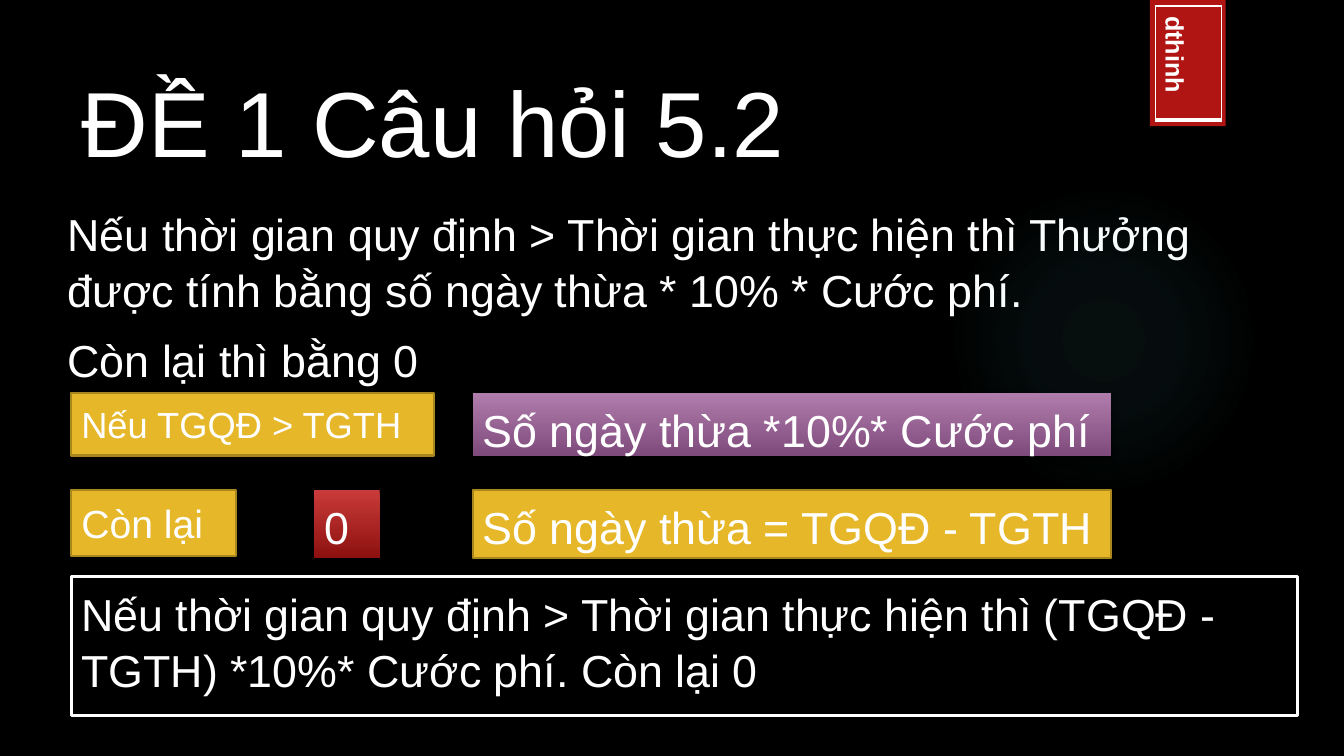
from dataclasses import dataclass
from typing import Optional

from lxml.etree import SubElement
from pptx import Presentation
from pptx.dml.color import RGBColor
from pptx.enum.shapes import MSO_SHAPE
from pptx.enum.text import MSO_ANCHOR, MSO_AUTO_SIZE, PP_ALIGN
from pptx.oxml import parse_xml
from pptx.oxml.ns import nsdecls, qn
from pptx.util import Cm, Pt

BLACK = RGBColor(0x00, 0x00, 0x00)
WHITE = RGBColor(0xFF, 0xFF, 0xFF)
RED = RGBColor(0xB0, 0x15, 0x13)
GOLD = RGBColor(0xE6, 0xB7, 0x29)
GOLD_EDGE = RGBColor(0xAA, 0x87, 0x1E)
TEAL = RGBColor(0x50, 0xB9, 0xC1)
PURPLES = (RGBColor(0xAF, 0x7C, 0xAC), RGBColor(0x7F, 0x4B, 0x7C))
REDS = (RGBColor(0xC9, 0x3B, 0x3A), RGBColor(0x8D, 0x11, 0x0F))

FRAME = {"word_wrap": True, "auto_size": MSO_AUTO_SIZE.NONE,
         "vertical_anchor": MSO_ANCHOR.TOP,
         "margin_left": Cm(0.25), "margin_right": Cm(0.25),
         "margin_top": Cm(0.18), "margin_bottom": Cm(0.13)}

LEFT, RIGHT_COL = 1.8, 11.91
ROW_1, ROW_2 = 9.91, 12.34


@dataclass
class Box:
    text: str
    left: float
    top: float
    width: float
    height: float
    size: float = 32
    fill: Optional[RGBColor] = GOLD
    gradient: Optional[tuple] = None
    edge: Optional[RGBColor] = GOLD_EDGE
    edge_width: float = 1.5


BOXES = [
    Box("Số ngày thừa *10%* Cước phí", RIGHT_COL, ROW_1, 16.1, 1.57,
        gradient=PURPLES, edge=None),
    Box("0", 7.92, ROW_2, 1.65, 1.73, gradient=REDS, edge=None),
    Box("Nếu TGQĐ > TGTH", LEFT, ROW_1, 9.14, 1.57, size=25.9),
    Box("Nếu thời gian quy định > Thời gian thực hiện thì "
        "(TGQĐ - TGTH) *10%* Cước phí. Còn lại 0",
        LEFT, 14.53, 30.89, 3.51, fill=BLACK, edge=WHITE, edge_width=2.25),
    Box("Số ngày thừa = TGQĐ - TGTH", RIGHT_COL, ROW_2, 16.1, 1.73),
    Box("Còn lại", LEFT, ROW_2, 4.14, 1.68, size=28),
]


def set_attrs(target, values: dict) -> None:
    for name, value in values.items():
        setattr(target, name, value)


def place(sp, left: float, top: float, width: float, height: float) -> None:
    set_attrs(sp, {"left": Cm(left), "top": Cm(top),
                   "width": Cm(width), "height": Cm(height)})


def write(tf, lines: list[str], size: float, spacing: float = 1.05) -> None:
    """Fill a text frame with left-aligned white paragraphs without bullets."""
    set_attrs(tf, FRAME)
    for i, line in enumerate(lines):
        p = tf.add_paragraph() if i else tf.paragraphs[0]
        pPr = p._p.get_or_add_pPr()
        pPr.set("marL", "0")
        pPr.set("indent", "0")
        SubElement(pPr, qn("a:buNone"))
        set_attrs(p, {"alignment": PP_ALIGN.LEFT, "line_spacing": spacing,
                      "space_before": Pt(10 if i else 0), "space_after": Pt(0)})
        r = p.add_run()
        r.text = line
        set_attrs(r.font, {"name": "Arial", "size": Pt(size), "bold": False})
        r.font.color.rgb = WHITE


def add_plain(s, kind, left: float, top: float, width: float, height: float):
    sp = s.shapes.add_shape(kind, Cm(left), Cm(top), Cm(width), Cm(height))
    sp.shadow.inherit = False
    sp.line.fill.background()
    return sp


def drop_shadow(sp, alpha: int, blur: float, dist: float) -> None:
    effects = sp._element.spPr.find(qn("a:effectLst"))
    effects.append(parse_xml(
        f'<a:outerShdw {nsdecls("a")} blurRad="{Pt(blur)}" dist="{Pt(dist)}" '
        f'dir="5400000" rotWithShape="0"><a:srgbClr val="{BLACK}">'
        f'<a:alpha val="{alpha * 1000}"/></a:srgbClr></a:outerShdw>'))


def add_glow(s) -> None:
    sp = add_plain(s, MSO_SHAPE.OVAL, 23.9, 4.65, 7.82, 7.82)
    stops = "".join(
        f'<a:gs pos="{pos * 1000}"><a:srgbClr val="{TEAL}">'
        f'<a:alpha val="{alpha * 1000}"/></a:srgbClr></a:gs>'
        for pos, alpha in ((0, 7), (36, 6), (69, 0)))
    sp._element.spPr.find(qn("a:prstGeom")).addnext(parse_xml(
        f'<a:gradFill {nsdecls("a")}><a:gsLst>{stops}</a:gsLst>'
        '<a:path path="circle"><a:fillToRect l="50000" t="50000" '
        'r="50000" b="50000"/></a:path></a:gradFill>'))


def add_name_tag(s) -> None:
    sp = add_plain(s, MSO_SHAPE.RECTANGLE, 28.98, 0, 1.91, 3.18)
    sp.fill.solid()
    sp.fill.fore_color.rgb = RED
    drop_shadow(sp, 45, 3, 2)

    table = s.shapes.add_table(1, 1, Cm(29.11), Cm(0.15), Cm(1.68), Cm(2.87)).table
    set_attrs(table, {"first_row": False, "horz_banding": False})
    cell = table.cell(0, 0)
    cell.fill.solid()
    cell.fill.fore_color.rgb = RED
    p = cell.text_frame.paragraphs[0]
    r = p.add_run()
    r.text = "dthinh"
    set_attrs(r.font, {"name": "Arial", "size": Pt(18), "bold": True})
    r.font.color.rgb = WHITE
    tcPr = cell._tc.get_or_add_tcPr()
    tcPr.set("vert", "vert")
    for i, (side, width) in enumerate({"L": 1, "R": 1, "T": 1, "B": 3}.items()):
        tcPr.insert(i, parse_xml(
            f'<a:ln{side} {nsdecls("a")} w="{Pt(width)}"><a:solidFill>'
            f'<a:srgbClr val="{WHITE}"/></a:solidFill></a:ln{side}>'))


def add_box(s, box: Box) -> None:
    sp = add_plain(s, MSO_SHAPE.RECTANGLE, box.left, box.top, box.width, box.height)
    if box.gradient:
        sp.fill.gradient()
        sp.fill.gradient_angle = 270
        for stop, color in zip(sp.fill.gradient_stops, box.gradient):
            stop.color.rgb = color
        drop_shadow(sp, 60, 5, 3)
    else:
        sp.fill.solid()
        sp.fill.fore_color.rgb = box.fill
    if box.edge:
        sp.line.color.rgb = box.edge
        sp.line.width = Pt(box.edge_width)
    write(sp.text_frame, [box.text], box.size)


def main() -> None:
    prs = Presentation()
    prs.slide_width, prs.slide_height = Cm(33.87), Cm(19.05)
    s = prs.slides.add_slide(prs.slide_layouts[1])
    s.background.fill.solid()
    s.background.fill.fore_color.rgb = BLACK

    title, body = s.placeholders
    place(title, LEFT, 1.27, 26.14, 2.84)
    title.fill.solid()
    title.fill.fore_color.rgb = BLACK
    title.line.color.rgb = BLACK
    title.line.width = Pt(1.5)
    write(title.text_frame, ["ĐỀ 1 Câu hỏi 5.2"], 66, spacing=1)
    title.text_frame.margin_top = Cm(0.36)

    place(body, 1.45, 4.95, 30.89, 4.88)
    write(body.text_frame, [
        "Nếu thời gian quy định > Thời gian thực hiện thì Thưởng "
        "được tính bằng số ngày thừa * 10% * Cước phí.",
        "Còn lại thì bằng 0"], 32)

    add_glow(s)
    add_name_tag(s)
    for box in BOXES:
        add_box(s, box)
    prs.save("out.pptx")


if __name__ == "__main__":
    main()
